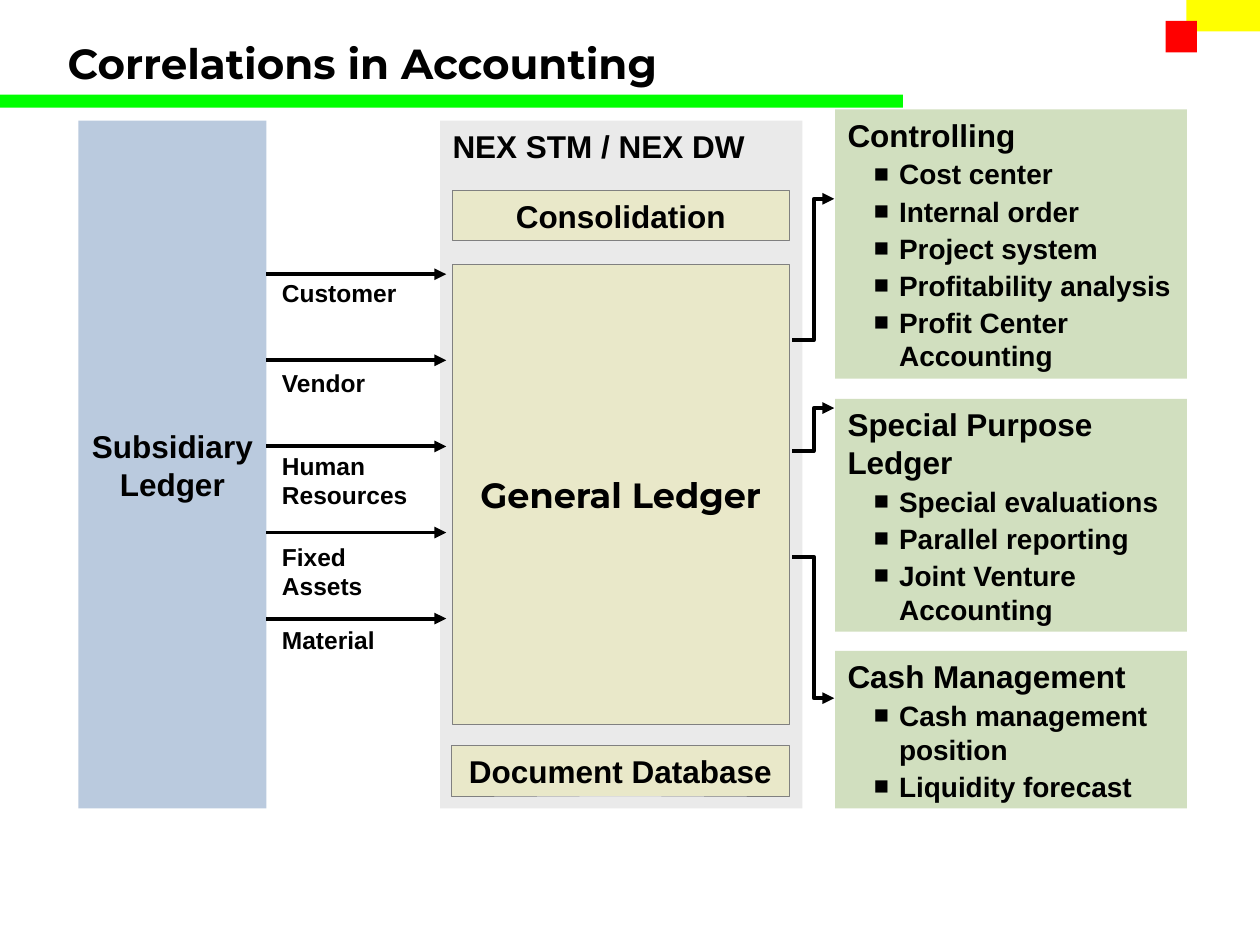
from lxml import etree
from pptx import Presentation
from pptx.dml.color import RGBColor
from pptx.enum.shapes import MSO_CONNECTOR, MSO_SHAPE
from pptx.enum.text import MSO_ANCHOR, PP_ALIGN
from pptx.oxml.ns import qn
from pptx.util import Pt

RECT, STRAIGHT = MSO_SHAPE.RECTANGLE, MSO_CONNECTOR.STRAIGHT
TOP, MIDDLE = MSO_ANCHOR.TOP, MSO_ANCHOR.MIDDLE
LEFT, CENTER = PP_ALIGN.LEFT, PP_ALIGN.CENTER
rgb = RGBColor.from_string


def add_box(x, y, w, h, fill, border=None):
    sp = s.shapes.add_shape(RECT, Pt(x), Pt(y), Pt(w), Pt(h))
    sp.shadow.inherit = False
    sp.fill.solid()
    sp.fill.fore_color.rgb = rgb(fill)
    if border:
        sp.line.color.rgb = rgb(border)
        sp.line.width = Pt(0.25)
    else:
        sp.line.fill.background()
    return sp


def write(p, text, size, font="Arial", align=LEFT):
    p.alignment = align
    for i, part in enumerate(text.split("\n")):
        if i:
            p.add_line_break()
        r = p.add_run()
        r.text = part
        r.font.name = font
        r.font.size = Pt(size)
        r.font.bold = True
        r.font.color.rgb = rgb("000000")


prs = Presentation()
prs.slide_width, prs.slide_height = Pt(720), Pt(540)
s = prs.slides.add_slide(prs.slide_layouts[5])

add_box(0, 54, 516, 7.5, "00FF00")
add_box(678, 0, 42, 18, "FFFF00")
add_box(666, 12, 18, 18, "FF0000")

title = s.shapes.title
title.left, title.top, title.width, title.height = Pt(31.5), Pt(18), Pt(664.5), Pt(36)
title.text_frame.vertical_anchor = MIDDLE
write(title.text_frame.paragraphs[0], "Correlations in Accounting", 24, "Montserrat")

blocks = [
    (251.5, 69, 207, 393, "EAEAEA", None, "NEX STM / NEX DW", 18, "Arial", LEFT, TOP),
    (258, 426, 193, 28.8, "E9E8C9", "808080", "Document Database", 18, "Arial", CENTER, TOP),
    (258.5, 108.8, 192.5, 28.8, "E9E8C9", "808080", "Consolidation", 18, "Arial", CENTER, TOP),
    (258.5, 151, 192.5, 263, "E9E8C9", "808080", "General Ledger", 20, "Montserrat", CENTER, MIDDLE),
    (44.8, 69, 107.5, 393, "BACADE", None, "Subsidiary\nLedger", 18, "Arial", CENTER, MIDDLE),
]
for x, y, w, h, fill, border, text, size, font, align, anchor in blocks:
    tf = add_box(x, y, w, h, fill, border).text_frame
    tf.word_wrap = True
    tf.vertical_anchor = anchor
    write(tf.paragraphs[0], text, size, font, align)

arrows = []
flows = [("Customer", 155.5), ("Vendor", 206.7), ("Human\nResources", 254.2),
         ("Fixed\nAssets", 306), ("Material", 353.5)]
for i, (text, y) in enumerate(flows):
    tb = s.shapes.add_textbox(Pt(154), Pt(y), Pt(87), Pt(24 + 16.5 * text.count("\n")))
    tb.text_frame.word_wrap = False
    write(tb.text_frame.paragraphs[0], text, 14)
    line_y = Pt(156.7 + 49.2 * i)
    arrows.append(s.shapes.add_connector(STRAIGHT, Pt(152.2), line_y, Pt(255), line_y))

panels = [
    (62.6, 153.8, 194.3, 113.6, "Controlling",
     ["Cost center", "Internal order", "Project system", "Profitability analysis",
      "Profit Center Accounting"]),
    (228, 133, 257.7, 233.2, "Special Purpose Ledger",
     ["Special evaluations", "Parallel reporting", "Joint Venture Accounting"]),
    (372, 90, 318.2, 399, "Cash Management",
     ["Cash management position", "Liquidity forecast"]),
]
for y, h, start_y, end_y, heading, items in panels:
    tf = add_box(477.2, y, 201, h, "D1DFBF").text_frame
    tf.word_wrap = True
    tf.vertical_anchor = TOP
    tf.margin_right = Pt(2)
    write(tf.paragraphs[0], heading, 18)
    for item in items:
        p = tf.add_paragraph()
        p.level = 1
        p.space_before = Pt(2)
        write(p, item, 16)
        pPr = p._p.get_or_add_pPr()
        pPr.set("marL", str(Pt(29.5)))
        pPr.set("indent", str(-Pt(14.4)))
        clr = etree.SubElement(pPr, qn("a:buClr"))
        etree.SubElement(clr, qn("a:srgbClr"), val="000000")
        etree.SubElement(pPr, qn("a:buSzPct"), val="90000")
        etree.SubElement(pPr, qn("a:buFont"), typeface="Arial")
        etree.SubElement(pPr, qn("a:buChar"), char="■")
    fb = s.shapes.build_freeform(Pt(452.7), Pt(start_y))
    fb.add_line_segments([(Pt(465), Pt(start_y)), (Pt(465), Pt(end_y)),
                          (Pt(476.7), Pt(end_y))], close=False)
    elbow = fb.convert_to_shape()
    elbow.fill.background()
    arrows.append(elbow)

for arrow in arrows:
    arrow.line.color.rgb = rgb("000000")
    arrow.line.width = Pt(2.25)
    spPr = arrow._element.spPr
    etree.SubElement(spPr.find(qn("a:ln")), qn("a:tailEnd"), type="triangle")
    etree.SubElement(spPr, qn("a:effectLst"))

prs.save("out.pptx")
